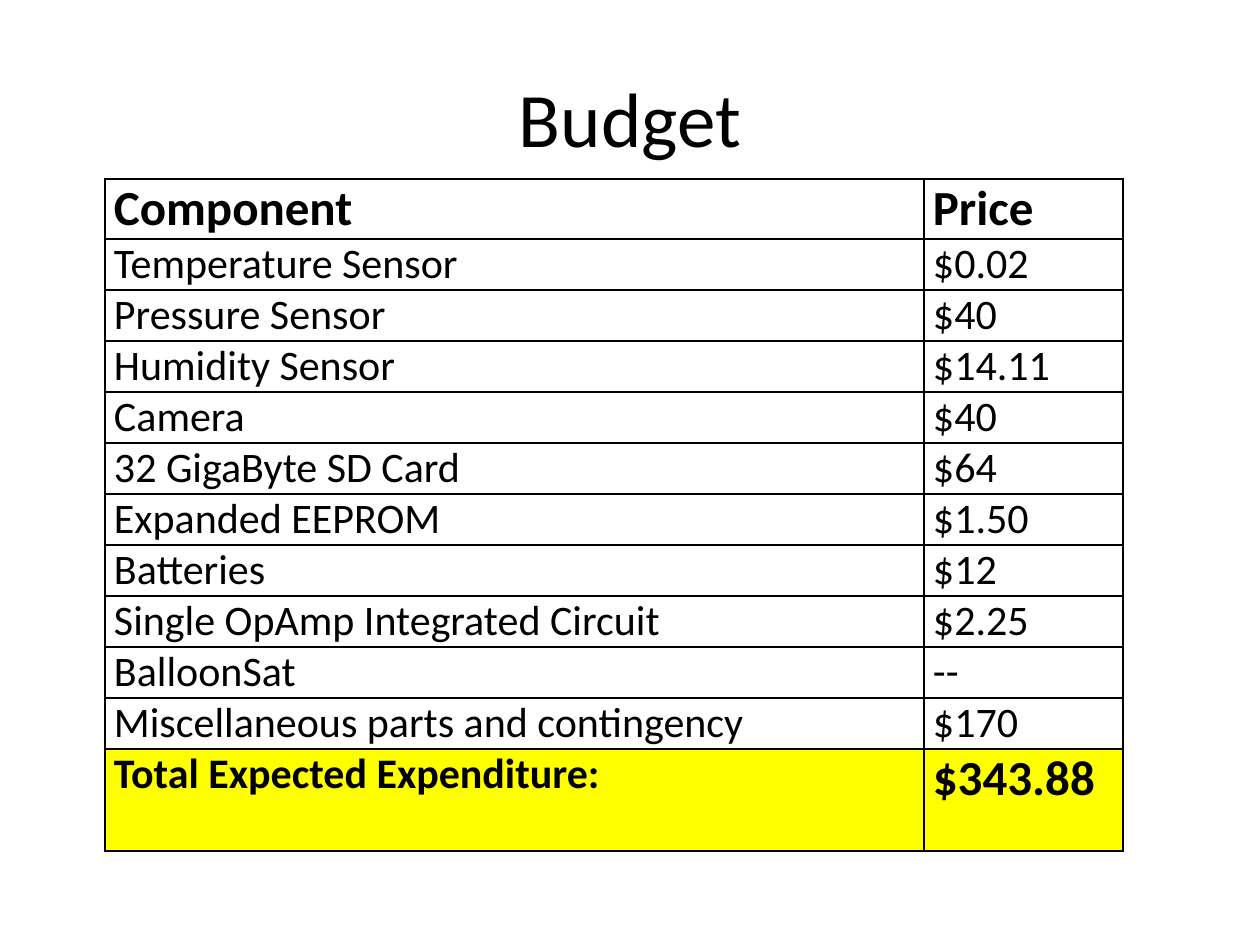
from dataclasses import dataclass

from lxml.etree import SubElement
from pptx import Presentation
from pptx.dml.color import RGBColor as Color
from pptx.enum.text import MSO_ANCHOR as Anchor, PP_ALIGN as Align
from pptx.oxml.ns import qn
from pptx.util import Emu, Pt

PX_PER_INCH = 126


@dataclass(frozen=True)
class Theme:
    font: str = "Calibri"
    ink: str = "000000"
    paper: str = "FFFFFF"
    highlight: str = "FFFF00"
    title_size: int = 44
    strong_size: int = 28
    body_size: int = 24
    border_width: int = 1


THEME = Theme()

HEADER = ("Component", "Price")
ITEMS = [
    ("Temperature Sensor", "$0.02"),
    ("Pressure Sensor", "$40"),
    ("Humidity Sensor", "$14.11"),
    ("Camera", "$40"),
    ("32 GigaByte SD Card", "$64"),
    ("Expanded EEPROM", "$1.50"),
    ("Batteries", "$12"),
    ("Single OpAmp Integrated Circuit", "$2.25"),
    ("BalloonSat", "--"),
    ("Miscellaneous parts and contingency", "$170"),
]
TOTAL = ("Total Expected Expenditure:", "$343.88")

COLUMN_WIDTHS = (819, 199)
HEADER_HEIGHT, ITEM_HEIGHT, TOTAL_HEIGHT = 60, 51, 102


def px(length):
    return Emu(round(length * 914400 / PX_PER_INCH))


def style_text(para, size, bold=False):
    for span in para.runs:
        font = span.font
        font.name, font.size, font.bold = THEME.font, Pt(size), bold
        font.color.rgb = Color.from_string(THEME.ink)


def add_title(page, text):
    box = page.shapes.add_textbox(px(63), px(38), px(1134), px(158))
    frame = box.text_frame
    frame.word_wrap = True
    frame.vertical_anchor = Anchor.MIDDLE
    frame.text = text
    para = frame.paragraphs[0]
    para.alignment = Align.CENTER
    style_text(para, THEME.title_size)


def add_borders(cell):
    properties = cell._tc.get_or_add_tcPr()
    for side in ("a:lnL", "a:lnR", "a:lnT", "a:lnB"):
        line = SubElement(properties, qn(side), w=str(Pt(THEME.border_width)))
        fill = SubElement(line, qn("a:solidFill"))
        SubElement(fill, qn("a:srgbClr"), val=THEME.ink)


def fill_row(cells, texts, sizes, bold=False, color=THEME.paper):
    for cell, text, size in zip(cells, texts, sizes):
        cell.margin_left = cell.margin_right = px(9)
        cell.margin_top = cell.margin_bottom = 0
        cell.vertical_anchor = Anchor.TOP
        cell.text_frame.text = text
        style_text(cell.text_frame.paragraphs[0], size, bold)
        add_borders(cell)
        cell.fill.solid()
        cell.fill.fore_color.rgb = Color.from_string(color)


def add_budget_table(page):
    heights = [HEADER_HEIGHT, *[ITEM_HEIGHT] * len(ITEMS), TOTAL_HEIGHT]
    table = page.shapes.add_table(
        len(heights), len(COLUMN_WIDTHS), px(105), px(179),
        px(sum(COLUMN_WIDTHS)), px(sum(heights))).table
    table.first_row = table.horz_banding = False
    for column, width in zip(table.columns, COLUMN_WIDTHS):
        column.width = px(width)
    for row, height in zip(table.rows, heights):
        row.height = px(height)

    header, *item_rows, total = [row.cells for row in table.rows]
    strong, body = THEME.strong_size, THEME.body_size
    fill_row(header, HEADER, (strong, strong), bold=True)
    for cells, item in zip(item_rows, ITEMS):
        fill_row(cells, item, (body, body))
    fill_row(total, TOTAL, (body, strong), bold=True, color=THEME.highlight)


def main():
    deck = Presentation()
    deck.slide_width, deck.slide_height = px(1260), px(945)
    page = deck.slides.add_slide(deck.slide_layouts[6])
    add_title(page, "Budget")
    add_budget_table(page)
    deck.save("out.pptx")


if __name__ == "__main__":
    main()
